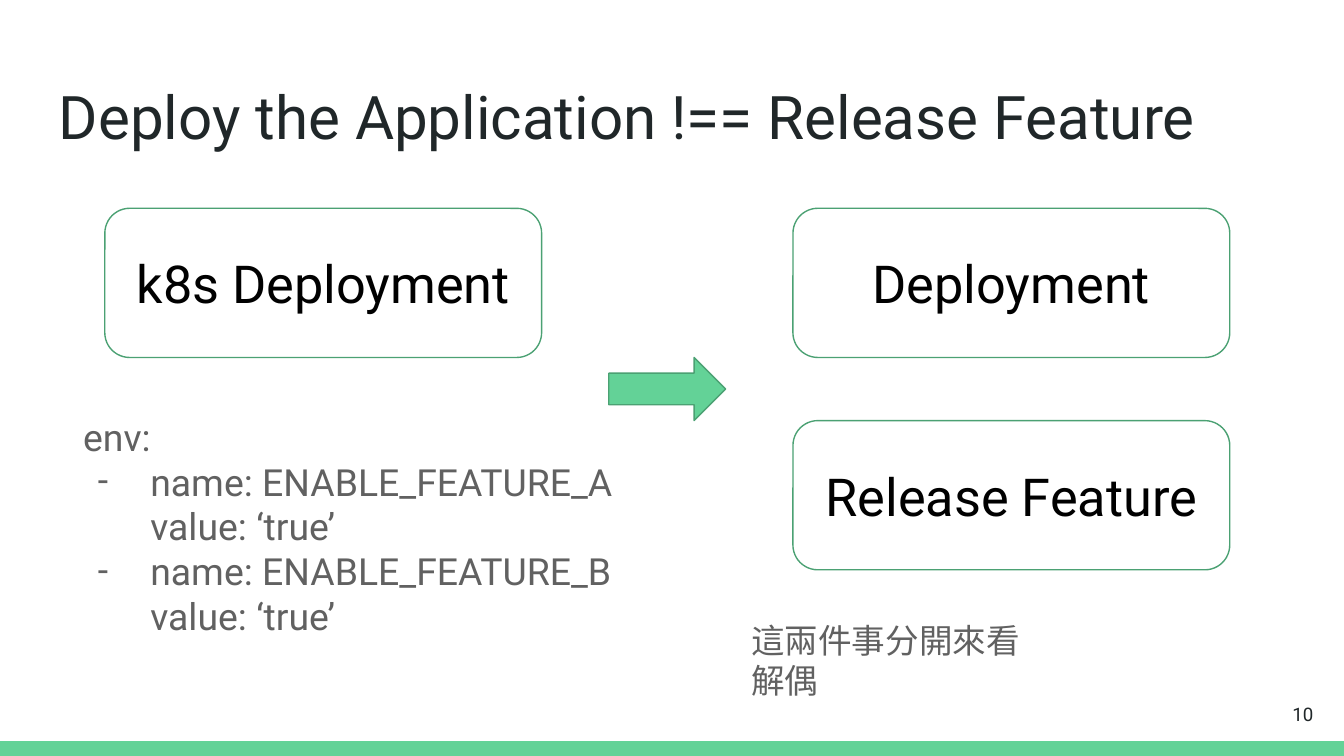
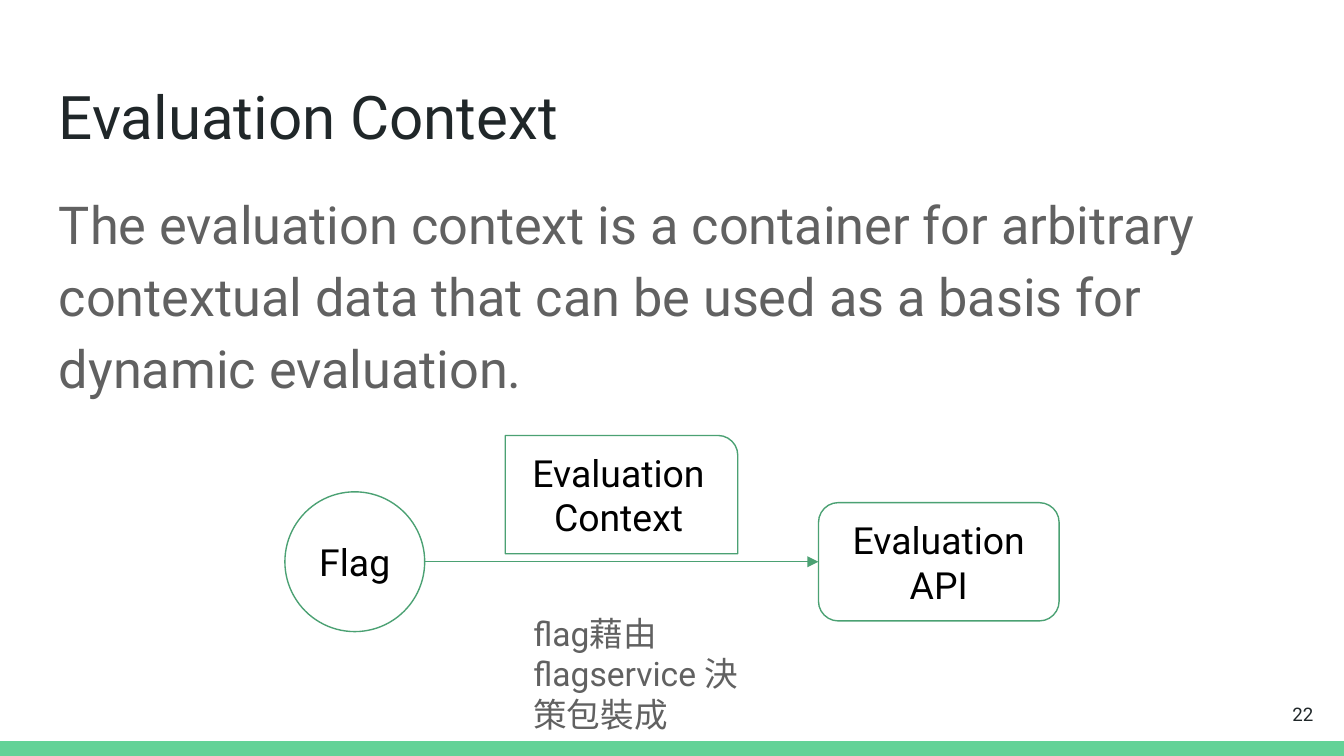
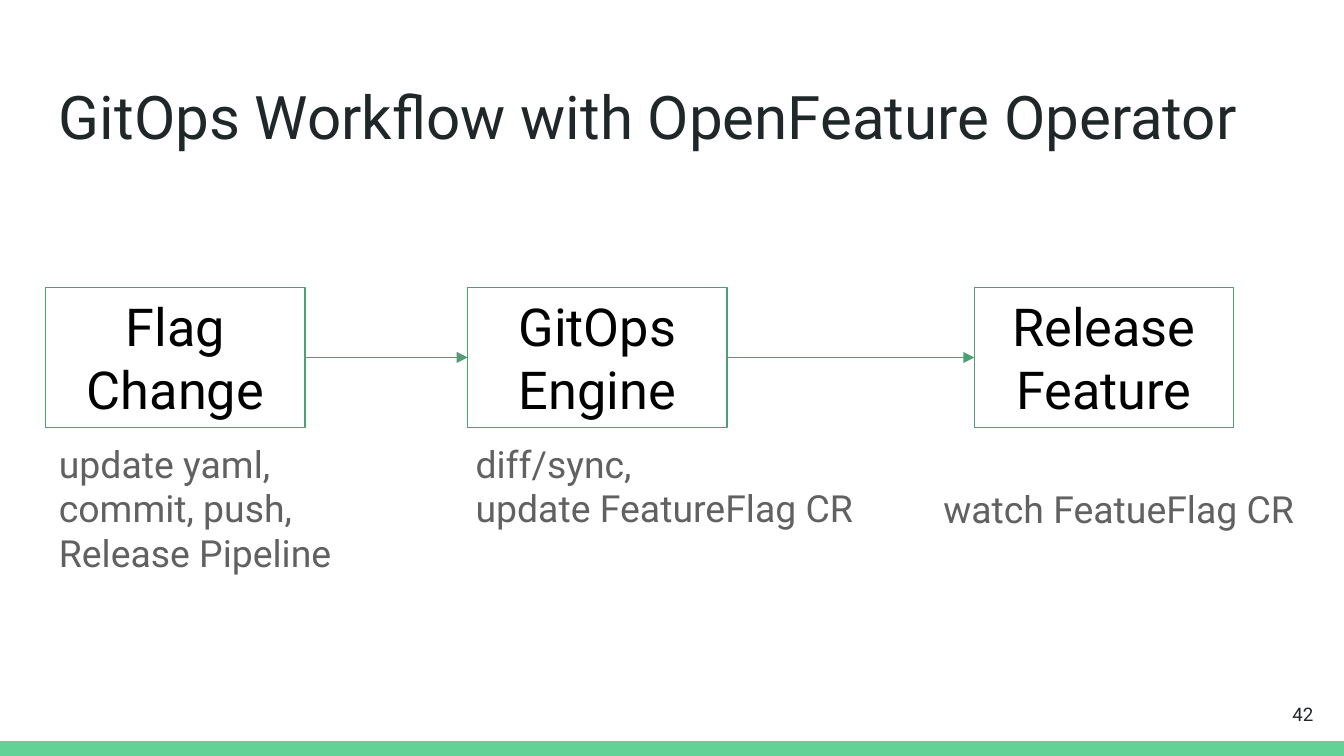
from itertools import pairwise

from lxml.etree import SubElement
from pptx import Presentation
from pptx.dml.color import RGBColor
from pptx.enum.shapes import MSO_CONNECTOR, MSO_SHAPE
from pptx.enum.text import MSO_ANCHOR, PP_ALIGN
from pptx.oxml.ns import qn
from pptx.util import Inches, Pt

# Shared style
COLORS = {"band": "63D297", "line": "4BA173", "title": "202729",
          "body": "616161", "label": "000000"}
FONT = "Roboto"
WIDTH = 10
HEIGHT = WIDTH * 9 / 16
BAND = 0.11

# Slide 1: deploying versus releasing
DEPLOY = {
    "title": "Deploy the Application !== Release Feature",
    "number": 10,
    "cards": [("k8s Deployment", 0, 0), ("Deployment", 1, 0),
              ("Release Feature", 1, 1)],  # text, column, row
    "env": [("env:", None),
            ("name: ENABLE_FEATURE_A", "-"), ("value: ‘true’", ""),
            ("name: ENABLE_FEATURE_B", "-"), ("value: ‘true’", "")],
    "note": "這兩件事分開來看解偶",
}

# Slide 2: evaluation context
CONTEXT = {
    "title": "Evaluation Context",
    "number": 22,
    "body": "The evaluation context is a container for arbitrary contextual "
            "data that can be used as a basis for dynamic evaluation.",
    "flag": "Flag",
    "api": "Evaluation API",
    "wrapper": "Evaluation\nContext",
    "note": "flag藉由flagservice 決策包裝成",
}

# Slide 3: GitOps steps as text, left edge, caption, caption box
GITOPS = {
    "title": "GitOps Workflow with OpenFeature Operator",
    "number": 42,
    "steps": [
        ("Flag Change", 0.34, "update yaml,\ncommit, push,\nRelease Pipeline",
         (0.34, 3.18, 2.44, 1.21)),
        ("GitOps Engine", 3.48, "diff/sync,\nupdate FeatureFlag CR",
         (3.44, 3.18, 3.14, 0.88)),
        ("Release\nFeature", 7.25, "watch FeatueFlag CR",
         (6.92, 3.52, 2.95, 0.54)),
    ],
}


def rgb(name):
    return RGBColor.from_string(COLORS[name])


def write(sp, text, size, color, align=PP_ALIGN.LEFT, anchor=MSO_ANCHOR.TOP):
    tf = sp.text_frame
    tf.text = text
    tf.word_wrap = True
    tf.vertical_anchor = anchor
    tf.margin_left = tf.margin_right = Inches(0.1)
    tf.margin_top = tf.margin_bottom = Inches(0.1)
    for p in tf.paragraphs:
        p.alignment = align
        for r in p.runs:
            r.font.name = FONT
            r.font.size = Pt(size)
            r.font.color.rgb = rgb(color)
    return tf


def add_text(s, box, text, size, color="body", **kwargs):
    sp = s.shapes.add_textbox(*map(Inches, box))
    return write(sp, text, size, color, **kwargs)


def add_block(s, kind, box, fill=None, line="line"):
    sp = s.shapes.add_shape(kind, *map(Inches, box))
    sp.shadow.inherit = False
    if fill:
        sp.fill.solid()
        sp.fill.fore_color.rgb = rgb(fill)
    else:
        sp.fill.background()
    if line:
        sp.line.color.rgb = rgb(line)
        sp.line.width = Pt(0.75)
    else:
        sp.line.fill.background()
    return sp


def add_label(s, kind, box, text, size):
    sp = add_block(s, kind, box)
    write(sp, text, size, "label", PP_ALIGN.CENTER, MSO_ANCHOR.MIDDLE)


def add_arrow(s, x1, x2, y):
    cn = s.shapes.add_connector(MSO_CONNECTOR.STRAIGHT,
                                *map(Inches, (x1, y, x2, y)))
    cn.line.color.rgb = rgb("line")
    cn.line.width = Pt(0.75)
    spPr = cn._element.spPr
    SubElement(spPr.find(qn("a:ln")), qn("a:tailEnd"), type="triangle")
    SubElement(spPr, qn("a:effectLst"))


def add_bullet(p, char):
    """Indent a paragraph; an empty char gives a continuation line."""
    pPr = p._p.get_or_add_pPr()
    pPr.set("marL", str(Inches(0.5)))
    pPr.set("indent", str(Inches(-0.39 if char else 0)))
    if char:
        clr = SubElement(pPr, qn("a:buClr"))
        SubElement(clr, qn("a:srgbClr"), val=COLORS["body"])
        SubElement(pPr, qn("a:buFont"), typeface=FONT)
        SubElement(pPr, qn("a:buChar"), char=char)


def add_slide(prs, content):
    s = prs.slides.add_slide(prs.slide_layouts[6])
    add_block(s, MSO_SHAPE.RECTANGLE, (0, HEIGHT - BAND, WIDTH, BAND),
              fill="band", line=None)
    add_text(s, (0.34, 0.49, 9.32, 0.63), content["title"], 32.2, "title")
    add_text(s, (9.27, 5.1, 0.6, 0.43), str(content["number"]), 10, "title",
             align=PP_ALIGN.RIGHT, anchor=MSO_ANCHOR.MIDDLE)
    return s


def build_deploy(prs):
    s = add_slide(prs, DEPLOY)
    w, h = 3.25, 1.11
    lefts, tops = (0.78, 5.9), (1.55, 3.13)
    for text, col, row in DEPLOY["cards"]:
        add_label(s, MSO_SHAPE.ROUNDED_RECTANGLE,
                  (lefts[col], tops[row], w, h), text, 28)
    # Arrow fills the gap between the two rows
    gap_top = tops[0] + h
    add_block(s, MSO_SHAPE.RIGHT_ARROW,
              (4.53, gap_top, 0.87, tops[1] - gap_top), fill="band")
    lines = "\n".join(text for text, _ in DEPLOY["env"])
    tf = add_text(s, (0.52, 2.98, 4.88, 1.89), lines, 20)
    for p, (_, char) in zip(tf.paragraphs, DEPLOY["env"]):
        if char is not None:
            add_bullet(p, char)
    add_text(s, (5.49, 4.51, 2.32, 0.9), DEPLOY["note"], 18)


def build_context(prs):
    s = add_slide(prs, CONTEXT)
    tf = add_text(s, (0.34, 1.26, 9.32, 3.74), CONTEXT["body"], 28)
    tf.paragraphs[0].line_spacing = 1.15
    # Flag and API are centred on one axis, the context rides above it
    axis, flag_x, flag_d, api_x, h = 4.18, 2.12, 1.04, 6.09, 0.88
    add_label(s, MSO_SHAPE.ROUNDED_RECTANGLE, (api_x, axis - h / 2, 1.79, h),
              CONTEXT["api"], 20)
    add_label(s, MSO_SHAPE.OVAL, (flag_x, axis - flag_d / 2, flag_d, flag_d),
              CONTEXT["flag"], 20)
    add_arrow(s, flag_x + flag_d, api_x, axis)
    add_label(s, MSO_SHAPE.ROUND_1_RECTANGLE, (3.76, 3.24, 1.73, h),
              CONTEXT["wrapper"], 20)
    add_text(s, (3.87, 4.46, 1.88, 0.63), CONTEXT["note"], 18)


def build_gitops(prs):
    s = add_slide(prs, GITOPS)
    top, w, h = 2.14, 1.93, 1.04
    for text, x, caption, caption_box in GITOPS["steps"]:
        add_label(s, MSO_SHAPE.RECTANGLE, (x, top, w, h), text, 28)
        add_text(s, caption_box, caption, 20)
    for step, following in pairwise(GITOPS["steps"]):
        add_arrow(s, step[1] + w, following[1], top + h / 2)


def main():
    prs = Presentation()
    prs.slide_width, prs.slide_height = Inches(WIDTH), Inches(HEIGHT)
    for build in (build_deploy, build_context, build_gitops):
        build(prs)
    prs.save("out.pptx")


if __name__ == "__main__":
    main()
